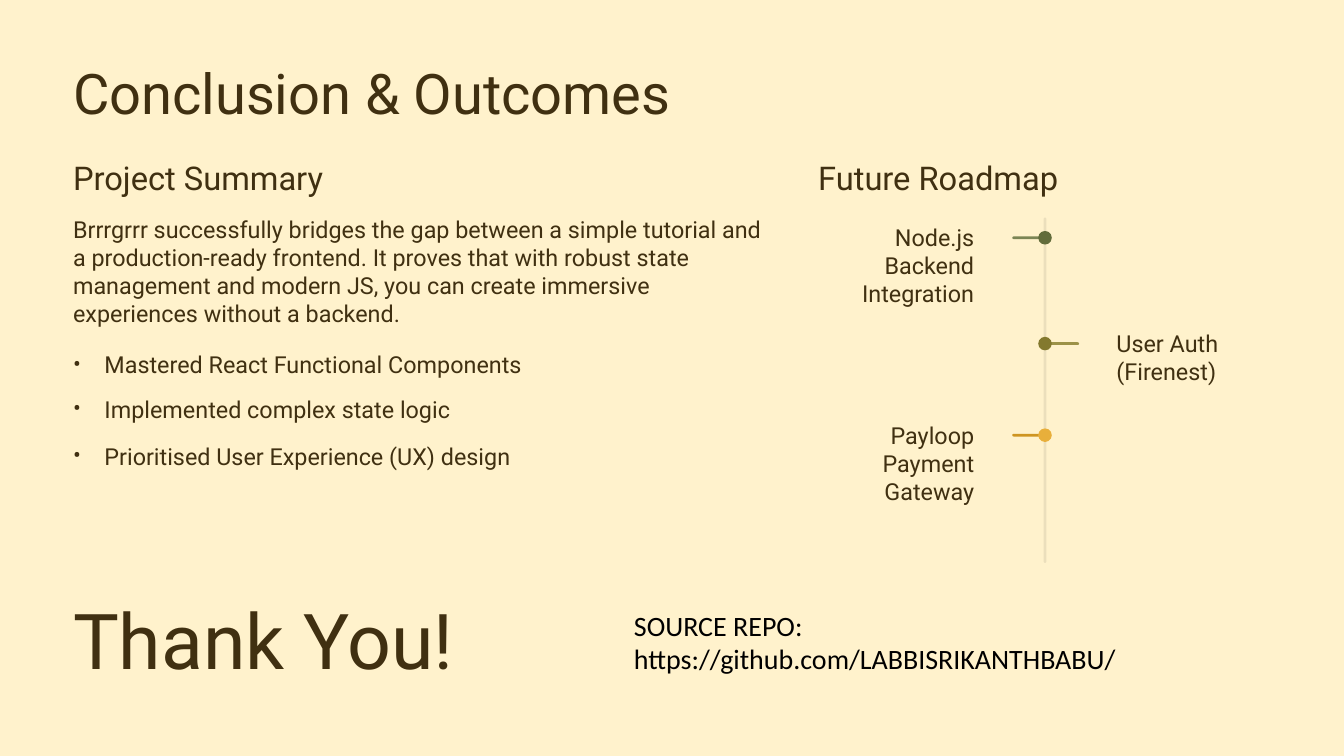
from dataclasses import dataclass

from lxml.etree import SubElement
from pptx import Presentation
from pptx.dml.color import RGBColor
from pptx.enum.shapes import MSO_AUTO_SHAPE_TYPE as ShapeType
from pptx.enum.text import MSO_ANCHOR, PP_ALIGN as Align
from pptx.oxml.ns import qn
from pptx.util import Cm, Pt

CREAM = RGBColor(0xFF, 0xF2, 0xCC)
BROWN = RGBColor(0x40, 0x30, 0x11)
BLACK = RGBColor(0x00, 0x00, 0x00)

# Lengths in centimetres
LEFT_COLUMN, RIGHT_COLUMN = 2.21, 24.74
HEADING_TOP, HEADING_WIDTH = 5.13, 8.5
AXIS_X, BAR = 31.6, 0.08
TICK_LENGTH, DOT_SIZE = 1.07, 0.41


@dataclass(frozen=True)
class TextItem:
    text: str
    left: float
    top: float
    width: float
    height: float
    size: float
    spacing: float | None = None
    align: Align = Align.LEFT
    bullet: bool = False
    font_name: str = "Roboto"
    color: RGBColor = BROWN
    inset_x: float = 0
    inset_y: float = 0


@dataclass(frozen=True)
class Milestone:
    label: str
    center_y: float
    on_left: bool
    tick_color: RGBColor
    dot_color: RGBColor


TEXTS = [
    TextItem("Conclusion & Outcomes", LEFT_COLUMN, 2.13, 20, 1.68, 48, 47),
    TextItem("Project Summary", LEFT_COLUMN, HEADING_TOP, HEADING_WIDTH, 0.84, 28, 23.5),
    TextItem("Future Roadmap", RIGHT_COLUMN, HEADING_TOP, HEADING_WIDTH, 0.84, 28, 23.5),
    TextItem(
        "Brrrgrrr successfully bridges the gap between a simple tutorial and "
        "a production-ready frontend. It proves that with robust state "
        "management and modern JS, you can create immersive experiences "
        "without a backend.",
        LEFT_COLUMN, 6.5, 21.21, 2.57, 20, 24),
    TextItem("Thank You!", LEFT_COLUMN, 18.42, 16, 2.31, 66, 65),
    TextItem("SOURCE REPO: https://github.com/LABBISRIKANTHBABU/",
             18.92, 18.26, 18.34, 2.31, 24, font_name="Calibri",
             color=BLACK, inset_x=0.25, inset_y=0.13),
]

OUTCOMES = [
    ("Mastered React Functional Components", 10.59),
    ("Implemented complex state logic", 11.94),
    ("Prioritised User Experience (UX) design", 13.36),
]

MILESTONES = [
    Milestone("Node.js Backend Integration", 7.19, True,
              RGBColor(0x7B, 0x85, 0x54), RGBColor(0x62, 0x6C, 0x3B)),
    Milestone("User Auth (Firenest)", 10.39, False,
              RGBColor(0x9C, 0x92, 0x47), RGBColor(0x83, 0x79, 0x2E)),
    Milestone("Payloop Payment Gateway", 13.16, True,
              RGBColor(0xCE, 0x95, 0x21), RGBColor(0xE8, 0xAF, 0x3B)),
]


def apply_format(target: object, values: dict) -> None:
    for name, value in values.items():
        setattr(target, name, value)


def add_text(slide, item: TextItem) -> None:
    box = slide.shapes.add_textbox(
        Cm(item.left), Cm(item.top), Cm(item.width), Cm(item.height))
    frame = box.text_frame
    apply_format(frame, {
        "margin_left": Cm(item.inset_x), "margin_right": Cm(item.inset_x),
        "margin_top": Cm(item.inset_y), "margin_bottom": Cm(item.inset_y),
        "word_wrap": True, "vertical_anchor": MSO_ANCHOR.TOP,
    })
    paragraph = frame.paragraphs[0]
    if item.bullet:
        properties = paragraph._p.get_or_add_pPr()
        properties.set("marL", str(Cm(0.95)))
        properties.set("indent", str(Cm(-0.95)))
        SubElement(properties, qn("a:buFont")).set("typeface", item.font_name)
        SubElement(properties, qn("a:buChar")).set("char", "•")
    paragraph.alignment = item.align
    if item.spacing:
        paragraph.line_spacing = Pt(item.spacing)
    run = paragraph.add_run()
    run.text = item.text
    apply_format(run.font, {"name": item.font_name, "size": Pt(item.size)})
    run.font.color.rgb = item.color


def add_pill(slide, left: float, top: float, width: float, height: float,
             color: RGBColor, opacity: int = 100) -> None:
    shape = slide.shapes.add_shape(
        ShapeType.ROUNDED_RECTANGLE, Cm(left), Cm(top), Cm(width), Cm(height))
    shape.adjustments[0] = 0.5
    shape.shadow.inherit = False
    shape.line.fill.background()
    shape.fill.solid()
    shape.fill.fore_color.rgb = color
    if opacity < 100:
        color_element = shape._element.spPr.find(".//" + qn("a:srgbClr"))
        SubElement(color_element, qn("a:alpha")).set("val", str(opacity * 1000))


def add_milestone(slide, milestone: Milestone) -> None:
    y = milestone.center_y
    if milestone.on_left:
        tick_left, label_left, align = AXIS_X + BAR - TICK_LENGTH, RIGHT_COLUMN, Align.RIGHT
    else:
        tick_left, label_left, align = AXIS_X - BAR / 2, 33.76, Align.LEFT
    add_pill(slide, tick_left, y - BAR / 2, TICK_LENGTH, BAR, milestone.tick_color)
    add_pill(slide, AXIS_X - DOT_SIZE / 2, y - DOT_SIZE / 2,
             DOT_SIZE, DOT_SIZE, milestone.dot_color)
    add_text(slide, TextItem(milestone.label, label_left, y - 0.43, 4.72, 1.7,
                             20, 24, align=align))


def main() -> None:
    presentation = Presentation()
    apply_format(presentation, {"slide_width": Cm(40.64), "slide_height": Cm(22.86)})
    slide = presentation.slides.add_slide(presentation.slide_layouts[6])
    slide.background.fill.solid()
    slide.background.fill.fore_color.rgb = CREAM

    # Headings, summary and closing
    for item in TEXTS:
        add_text(slide, item)

    # Outcome bullets
    for text, top in OUTCOMES:
        add_text(slide, TextItem(text, LEFT_COLUMN, top, 21.21, 0.86, 20, 24, bullet=True))

    # Roadmap timeline
    add_pill(slide, AXIS_X - BAR / 2, 6.58, BAR, 10.44, BLACK, opacity=8)
    for milestone in MILESTONES:
        add_milestone(slide, milestone)

    presentation.save("out.pptx")


if __name__ == "__main__":
    main()
